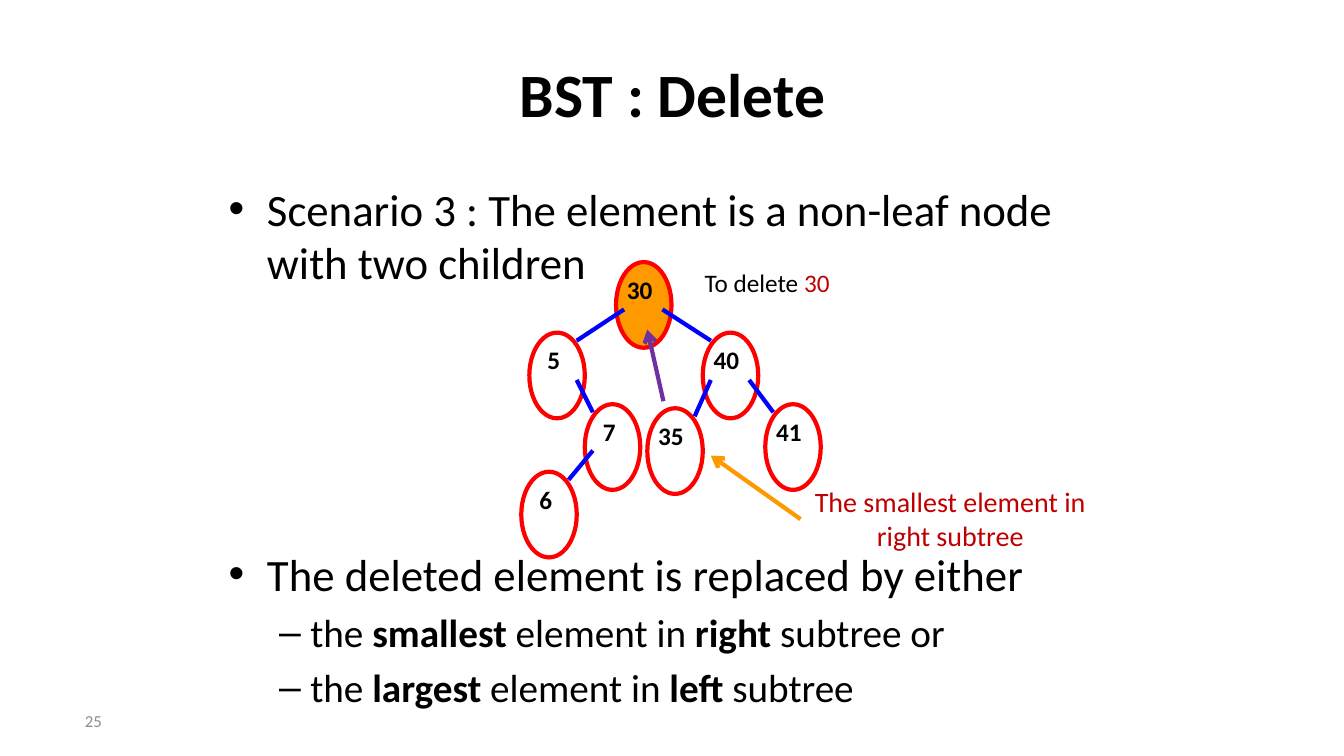
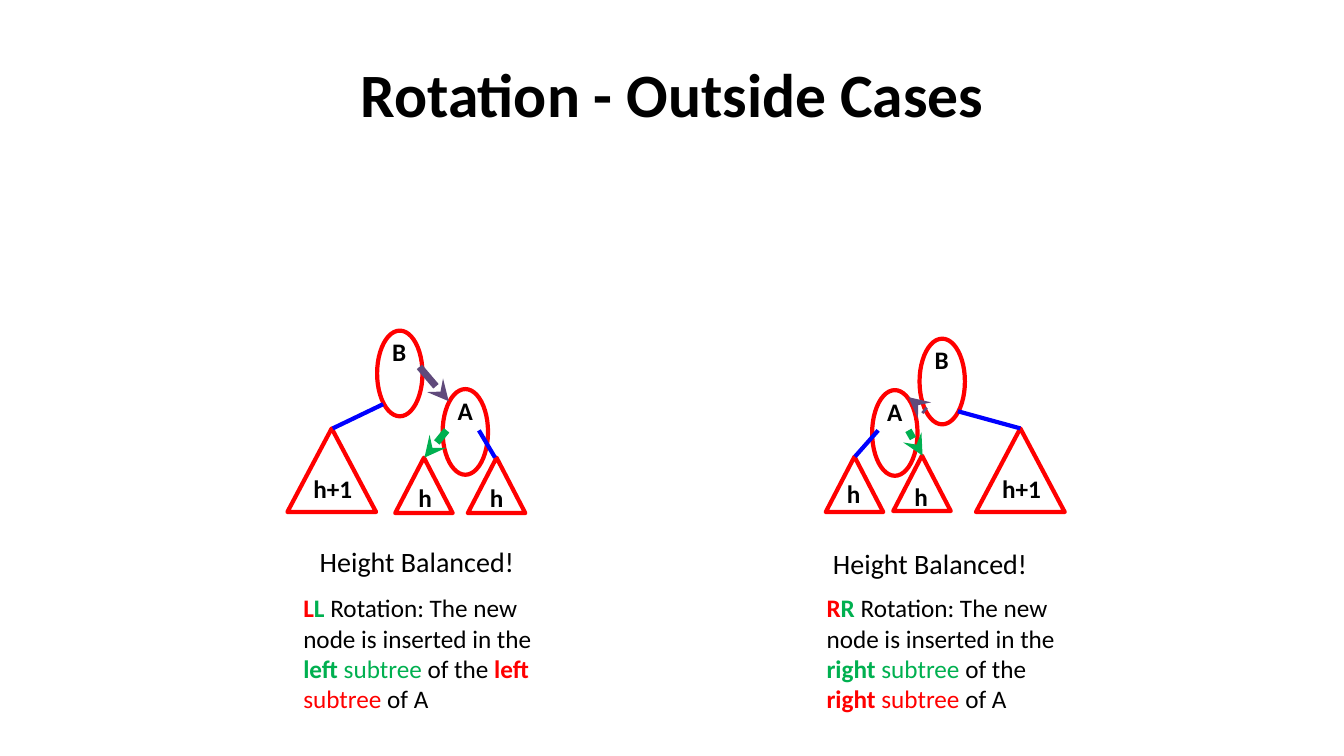
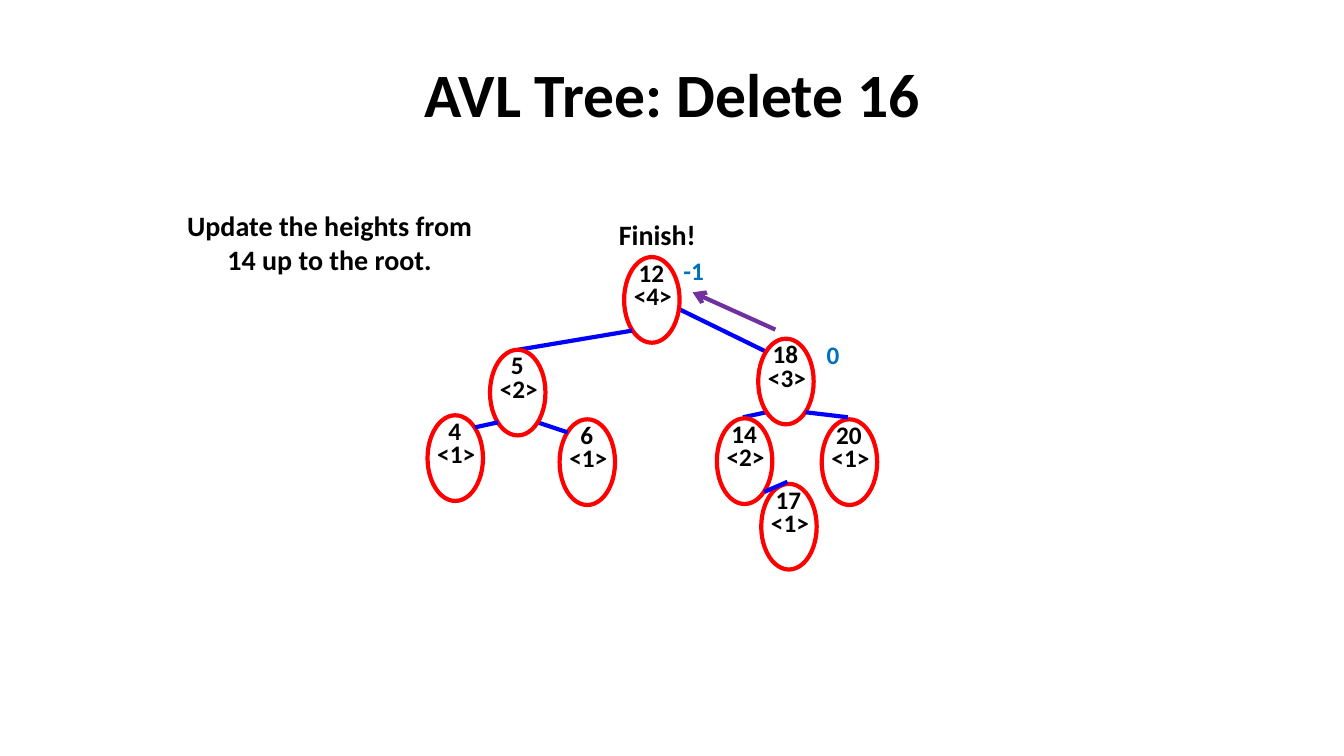
from lxml import etree
from pptx import Presentation
from pptx.dml.color import RGBColor
from pptx.enum.shapes import MSO_CONNECTOR as Connector, MSO_SHAPE as Shape
from pptx.enum.text import MSO_ANCHOR as Anchor, PP_ALIGN as Align
from pptx.oxml.ns import qn
from pptx.util import Inches, Pt

BLACK = RGBColor(0x00, 0x00, 0x00)
WHITE = RGBColor(0xFF, 0xFF, 0xFF)
GREY = RGBColor(0x8C, 0x8C, 0x8C)
RED = RGBColor(0xFF, 0x00, 0x00)
DARK_RED = RGBColor(0xC0, 0x00, 0x00)
BLUE = RGBColor(0x00, 0x00, 0xFF)
BALANCE_BLUE = RGBColor(0x00, 0x70, 0xC0)
GREEN = RGBColor(0x00, 0xB0, 0x50)
ORANGE = RGBColor(0xFF, 0x99, 0x00)
PURPLE = RGBColor(0x70, 0x30, 0xA0)
DUSK = RGBColor(0x60, 0x4A, 0x7B)

FONT = "Calibri"
NODE_HEIGHT = 0.85
PLAIN = (0.1, 0.05)
ROOMY = (0.1, 0.15)
TIGHT = (0, 0)


class Deck:
    def __init__(self):
        self.prs = Presentation()
        self.prs.slide_width = Inches(13.33)
        self.prs.slide_height = Inches(7.5)
        self.slide = None

    def new_slide(self, title):
        self.slide = self.prs.slides.add_slide(self.prs.slide_layouts[5])
        heading = self.slide.shapes.title
        heading.left, heading.top, heading.width, heading.height = map(Inches, (0.67, 0.3, 12, 1.25))
        frame = heading.text_frame
        frame.vertical_anchor = Anchor.MIDDLE
        frame.paragraphs[0].alignment = Align.CENTER
        self.add_runs(frame.paragraphs[0], [(title, BLACK, True)], 44)

    def add_runs(self, paragraph, runs, size):
        """Append (text, colour, bold) runs in one size."""
        for words, colour, bold in runs:
            run = paragraph.add_run()
            run.text = words
            run.font.name = FONT
            run.font.size = Pt(size)
            run.font.bold = bold
            run.font.color.rgb = colour

    def frame(self, at, insets=PLAIN):
        """Add an empty text box; insets are (sides, top and bottom)."""
        frame = self.slide.shapes.add_textbox(*map(Inches, at)).text_frame
        frame.word_wrap = True
        frame.margin_left = frame.margin_right = Inches(insets[0])
        frame.margin_top = frame.margin_bottom = Inches(insets[1])
        return frame

    def text(self, at, runs, size=18, align=Align.LEFT, insets=PLAIN):
        paragraph = self.frame(at, insets).paragraphs[0]
        paragraph.alignment = align
        self.add_runs(paragraph, runs, size)

    def label(self, words, x, y, colour=BLACK):
        self.text((x, y, 0.75, 0.61), [(words, colour, True)], insets=ROOMY)

    def caption(self, words, at, colour=BLACK, bold=False):
        self.text(at, [(words, colour, bold)], 20, Align.CENTER, ROOMY)

    def bullets(self, at, items):
        """Add (level, space before, runs) items as one bulleted text."""
        styles = [("•", 32, 0.38, -0.38), ("–", 28, 0.81, -0.31)]
        frame = self.frame(at)
        for index, (level, space, runs) in enumerate(items):
            mark, size, margin, indent = styles[level]
            paragraph = frame.add_paragraph() if index else frame.paragraphs[0]
            paragraph.level = level
            paragraph.space_before = Pt(space)
            props = paragraph._p.get_or_add_pPr()
            props.set("marL", str(Inches(margin)))
            props.set("indent", str(Inches(indent)))
            etree.SubElement(props, qn("a:buFont"), typeface="Arial")
            etree.SubElement(props, qn("a:buChar"), char=mark)
            self.add_runs(paragraph, runs, size)

    def outline(self, kind, at, fill=None):
        shape = self.slide.shapes.add_shape(kind, *map(Inches, at))
        shape.shadow.inherit = False
        if fill is None:
            shape.fill.background()
        else:
            shape.fill.solid()
            shape.fill.fore_color.rgb = fill
        shape.line.color.rgb = RED
        shape.line.width = Pt(3)

    def ellipse(self, x, y, width=0.55, fill=None):
        self.outline(Shape.OVAL, (x, y, width, NODE_HEIGHT), fill)

    def line(self, x1, y1, x2, y2, colour=BLUE, width=3, head=None):
        """Draw a line; head names the arrowhead at its end."""
        line = self.slide.shapes.add_connector(Connector.STRAIGHT, *map(Inches, (x1, y1, x2, y2)))
        line.line.color.rgb = colour
        line.line.width = Pt(width)
        if head:
            etree.SubElement(line.line._get_or_add_ln(), qn("a:tailEnd"), type=head)
        etree.SubElement(line._element.spPr, qn("a:effectLst"))

    def height_node(self, key, height, x, y):
        """Draw a node with its key above its height."""
        self.ellipse(x, y, fill=WHITE)
        for words, dx, dy, width in ((key, 0.1, 0, 0.34), (f"<{height}>", 0.02, 0.23, 0.53)):
            self.text((x + dx, y + dy, width, 0.3), [(words, BLACK, True)], align=Align.CENTER, insets=TIGHT)


def bst_delete(deck):
    deck.new_slide("BST : Delete")
    deck.bullets((2.17, 1.75, 9, 5.54), [
        (0, 0, [("Scenario 3 : The element is a non-leaf node with two children", BLACK, False)]),
        (0, 184, [("The deleted element is replaced by either", BLACK, False)]),
        *[(1, 5.6, [("the ", BLACK, False), (extreme, BLACK, True), (" element in ", BLACK, False),
                    (side + " ", BLACK, True), (ending, BLACK, False)])
          for extreme, side, ending in (("smallest", "right", "subtree or"), ("largest", "left", "subtree"))],
    ])
    nodes = [("30", 6.11, 2.6), ("5", 5.25, 3.3), ("40", 6.97, 3.3), ("7", 5.8, 4.01),
             ("35", 6.42, 4.05), ("41", 7.59, 4.01), ("6", 5.17, 4.68)]
    for key, x, y in nodes:
        deck.ellipse(x, y, fill=ORANGE if key == "30" else None)
        deck.label(key, x + (0.08 if len(key) == 1 else 0.01), y - 0.03)
    for edge in ((5.72, 3.38, 6.19, 3.07), (7.05, 3.38, 6.57, 3.07), (5.88, 4.09, 5.72, 3.77),
                 (7.67, 4.09, 7.43, 3.77), (5.64, 4.76, 5.88, 4.47), (6.89, 4.13, 7.05, 3.77)):
        deck.line(*edge)
    deck.caption("The smallest element in right subtree", (7.94, 4.66, 2.97, 0.98), DARK_RED)
    deck.line(7.94, 5.15, 7.05, 4.52, ORANGE, head="arrow")
    deck.line(6.58, 3.98, 6.42, 3.27, PURPLE, head="arrow")
    deck.text((6.89, 2.6, 1.6, 0.4), [("To delete ", BLACK, False), ("30", DARK_RED, False)])
    deck.text((0.11, 7.0, 1, 0.32), [("25", GREY, False)], 12, Align.RIGHT)


def rotation_case(deck, side, nodes, triangles, edges, arrows, balance_at, rule_x):
    """Draw one rotated tree with the rule that belongs to it."""
    for name, x, y in nodes:
        deck.ellipse(x, y, 0.45)
        deck.label(name, x + 0.05, y - 0.09)
    for height, x, y, dx, dy in triangles:
        size = (0.88, 0.83) if height == "h+1" else (0.57, 0.55)
        deck.outline(Shape.ISOSCELES_TRIANGLE, (x, y, *size))
        deck.label(height, x + dx, y + dy)
    for edge in edges:
        deck.line(*edge)
    for arrow, colour in zip(arrows, (DUSK, GREEN)):
        deck.line(*arrow, colour, 5, "stealth")
    deck.caption("Height Balanced!", (*balance_at, 2.97, 0.64))
    initial = side[0].upper()
    deck.text((rule_x, 5.83, 2.5, 1.31), [
        (initial, RED, True), (initial, GREEN, True),
        (" Rotation: The new node is inserted in the ", BLACK, False),
        (side, GREEN, True), (" subtree", GREEN, False), (" of the ", BLACK, False),
        (side, RED, True), (" subtree", RED, False), (" of A", BLACK, False),
    ])


def rotation_outside_cases(deck):
    deck.new_slide("Rotation - Outside Cases")
    rotation_case(
        deck, "left",
        nodes=[("B", 3.74, 3.28), ("A", 4.39, 3.86)],
        triangles=[("h+1", 2.85, 4.25, 0.16, 0.3), ("h", 3.92, 4.54, 0.13, 0.09), ("h", 4.64, 4.54, 0.12, 0.09)],
        edges=[(3.3, 4.25, 3.8, 4.01), (4.91, 4.54, 4.75, 4.27)],
        arrows=[(4.16, 3.64, 4.45, 3.98), (4.43, 4.27, 4.21, 4.54)],
        balance_at=(2.65, 5.25), rule_x=2.91)
    rotation_case(
        deck, "right",
        nodes=[("B", 9.12, 3.36), ("A", 8.65, 3.87)],
        triangles=[("h+1", 9.68, 4.25, 0.16, 0.3), ("h", 8.19, 4.53, 0.11, 0.06), ("h", 8.86, 4.52, 0.11, 0.1)],
        edges=[(10.12, 4.25, 9.5, 4.08), (8.48, 4.53, 8.71, 4.27)],
        arrows=[(9.18, 4.08, 9.01, 3.94), (9.01, 4.27, 9.15, 4.52)],
        balance_at=(7.74, 5.27), rule_x=8.1)


def avl_delete(deck):
    deck.new_slide("AVL Tree: Delete 16")
    layers = [
        ([(7.6, 3.49, 6.66, 3.03), (7.37, 4.14, 7.6, 4.09)], [("12", 4, 6.19, 2.55)]),
        ([(5.14, 3.47, 6.27, 3.28)],
         [("6", 1, 5.55, 4.16), ("18", 3, 7.52, 3.36), ("20", 1, 8.15, 4.16),
          ("14", 2, 7.11, 4.15), ("17", 1, 7.55, 4.8)]),
        ([(7.81, 4.78, 7.58, 4.88), (5.33, 4.19, 5.63, 4.29)], [("4", 1, 4.24, 4.12), ("5", 2, 4.86, 3.47)]),
        ([(4.94, 4.19, 4.71, 4.24), (8.41, 4.14, 7.99, 4.09)], []),
    ]
    for edges, nodes in layers:
        for edge in edges:
            deck.line(*edge)
        for node in nodes:
            deck.height_node(*node)
    deck.caption("Update the heights from 14 up to the root.", (1.68, 1.92, 3.18, 0.98), bold=True)
    deck.caption("Finish!", (4.93, 2.01, 3.18, 0.64), bold=True)
    deck.label("0", 8.1, 3.22, BALANCE_BLUE)
    deck.label("-1", 6.68, 2.38, BALANCE_BLUE)
    deck.line(7.69, 3.27, 6.87, 2.9, PURPLE, head="arrow")


def main():
    deck = Deck()
    bst_delete(deck)
    rotation_outside_cases(deck)
    avl_delete(deck)
    deck.prs.save("out.pptx")


if __name__ == "__main__":
    main()
